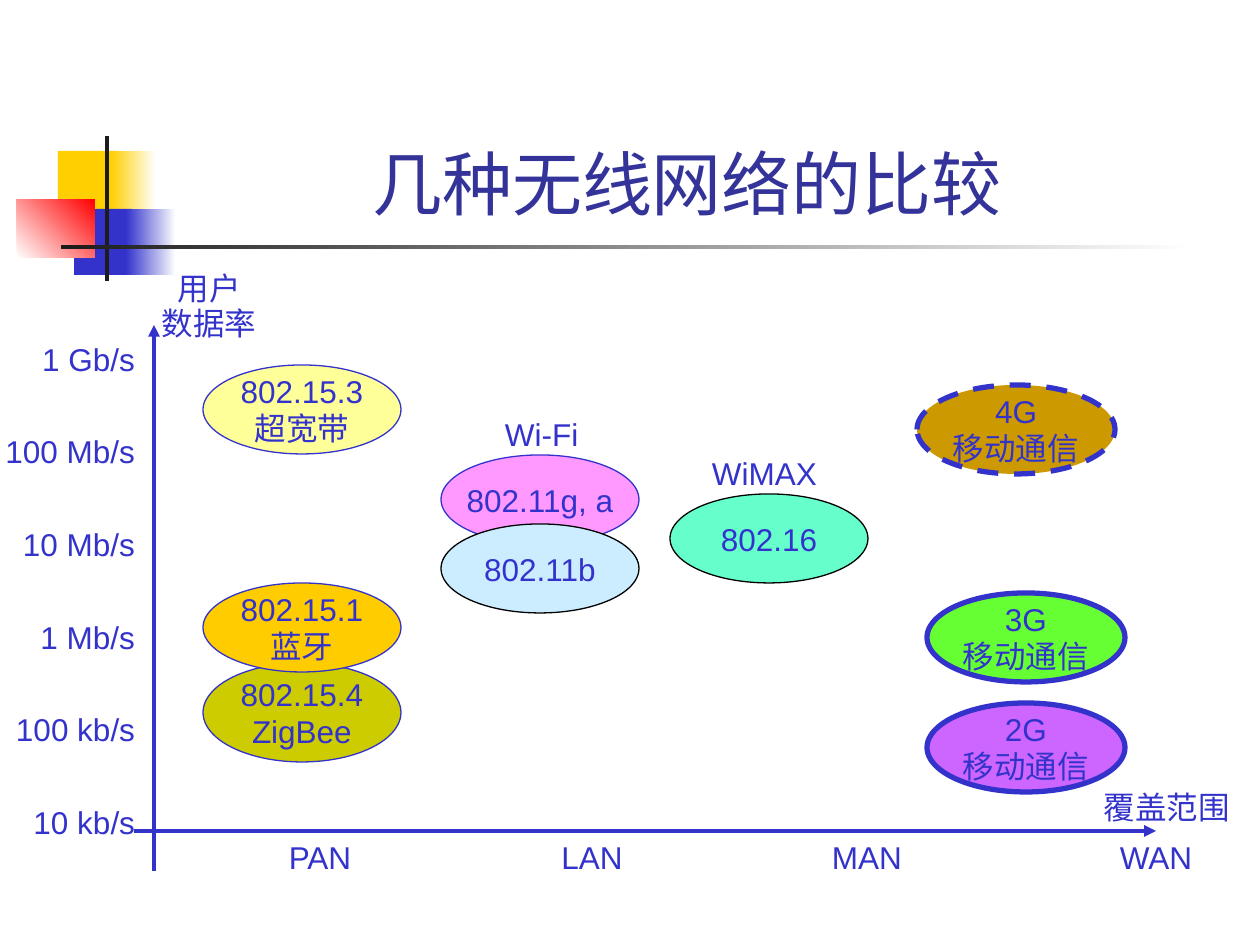
from dataclasses import dataclass

from lxml import etree
from pptx import Presentation
from pptx.dml.color import RGBColor
from pptx.enum.dml import MSO_LINE
from pptx.enum.shapes import MSO_CONNECTOR, MSO_SHAPE
from pptx.enum.text import MSO_ANCHOR, MSO_AUTO_SIZE, PP_ALIGN
from pptx.oxml.ns import qn
from pptx.util import Emu, Pt

RECT, OVAL = MSO_SHAPE.RECTANGLE, MSO_SHAPE.OVAL
STRAIGHT = MSO_CONNECTOR.STRAIGHT
DASH = MSO_LINE.DASH
LEFT, CENTER, RIGHT = PP_ALIGN.LEFT, PP_ALIGN.CENTER, PP_ALIGN.RIGHT
TOP, MIDDLE, BOTTOM = MSO_ANCHOR.TOP, MSO_ANCHOR.MIDDLE, MSO_ANCHOR.BOTTOM
PX = 914400 / 126


@dataclass(frozen=True)
class Theme:
    font: str = "Arial"
    title_size: int = 40
    body_size: int = 18
    title: str = "333399"
    ink: str = "3333CC"
    white: str = "FFFFFF"
    black: str = "000000"
    yellow: str = "FFCF01"
    red: str = "FF0000"
    rule: str = "1C1C1C"


def px(*lengths):
    return [Emu(round(length * PX)) for length in lengths]


def rgb(value):
    return RGBColor.from_string(value)


class Painter:
    def __init__(self, slide, theme):
        self.slide = slide
        self.theme = theme

    def add_lines(self, frame, lines, size, color, align, spacings=(1,), gap=0):
        for i, line in enumerate(lines):
            paragraph = frame.paragraphs[0] if i == 0 else frame.add_paragraph()
            paragraph.alignment = align
            paragraph.line_spacing = spacings[min(i, len(spacings) - 1)]
            paragraph.space_after = Pt(gap)
            run = paragraph.add_run()
            run.text = line
            run.font.name = self.theme.font
            run.font.size = Pt(size)
            run.font.color.rgb = rgb(color)

    def title(self, text, box):
        heading = self.slide.shapes.title
        heading.left, heading.top, heading.width, heading.height = px(*box)
        frame = heading.text_frame
        frame.auto_size = MSO_AUTO_SIZE.NONE
        frame.vertical_anchor = BOTTOM
        self.add_lines(frame, [text], self.theme.title_size, self.theme.title, CENTER)

    def block(self, box, start, end=None, angle=0):
        block = self.slide.shapes.add_shape(RECT, *px(*box))
        block.shadow.inherit = False
        block.line.fill.background()
        if end is None:
            block.fill.solid()
            block.fill.fore_color.rgb = rgb(start)
            return
        block.fill.gradient()
        block.fill.gradient_angle = angle
        for stop, color, position in zip(block.fill.gradient_stops, (start, end), (0, 1)):
            stop.color.rgb = rgb(color)
            stop.position = position

    def label(self, box, lines, align=CENTER, spacings=(1.2,), gap=0):
        frame = self.slide.shapes.add_textbox(*px(*box)).text_frame
        frame.word_wrap = True
        frame.vertical_anchor = TOP
        frame.margin_left = frame.margin_right = 0
        self.add_lines(frame, lines, self.theme.body_size, self.theme.ink, align, spacings, gap)

    def axis(self, start, end):
        axis = self.slide.shapes.add_connector(STRAIGHT, *px(*start, *end))
        axis.line.color.rgb = rgb(self.theme.ink)
        axis.line.width = Pt(2.25)
        properties = axis.element.spPr
        etree.SubElement(properties.find(qn("a:ln")), qn("a:tailEnd"), type="triangle")
        etree.SubElement(properties, qn("a:effectLst"))

    def network(self, box, lines, fill, outline, width=0.75, dash=None):
        oval = self.slide.shapes.add_shape(OVAL, *px(*box))
        oval.shadow.inherit = False
        oval.fill.solid()
        oval.fill.fore_color.rgb = rgb(fill)
        oval.line.color.rgb = rgb(outline)
        oval.line.width = Pt(width)
        if dash is not None:
            oval.line.dash_style = dash
        frame = oval.text_frame
        frame.word_wrap = False
        frame.vertical_anchor = MIDDLE
        self.add_lines(frame, lines, self.theme.body_size, self.theme.ink, CENTER)


def main():
    deck = Presentation()
    deck.slide_width, deck.slide_height = px(1260, 945)
    theme = Theme()
    painter = Painter(deck.slides.add_slide(deck.slide_layouts[5]), theme)

    painter.block((58, 151, 60, 66), theme.yellow)
    painter.block((111, 151, 45, 66), theme.yellow, theme.white)
    painter.block((74, 209, 58, 66), theme.ink)
    painter.block((126, 209, 50, 66), theme.ink, theme.white)
    painter.block((17, 199, 78, 59), theme.white, theme.red, 45)
    painter.block((105, 136, 4, 145), theme.rule)
    painter.block((61, 245, 1134, 4), theme.rule, theme.white)
    painter.title("几种无线网络的比较", (150, 29, 1074, 202))

    rates = ["1 Gb/s", "100 Mb/s", "10 Mb/s", "1 Mb/s", "100 kb/s", "10 kb/s"]
    painter.label((0, 326, 135, 524), rates, RIGHT, gap=27)
    painter.label((1092, 774, 138, 58), ["覆盖范围"], RIGHT)
    painter.axis((134, 831), (1156, 831))
    painter.axis((154, 871), (154, 325))
    painter.label((149, 255, 120, 94), ["用户", "数据率"], spacings=(1.2, 0.95))
    for center, scope in ((320, "PAN"), (592, "LAN"), (867, "MAN"), (1156, "WAN")):
        painter.label((center - 50, 824, 100, 58), [scope])

    pan, lan, man, wan = 203, 441, 670, 927
    mobile = "移动通信"
    networks = [
        (pan, 663, 99, ["802.15.4", "ZigBee"], "CCCC00", theme.ink),
        (pan, 583, 89, ["802.15.1", "蓝牙"], "FFCC00", theme.ink),
        (pan, 365, 89, ["802.15.3", "超宽带"], "FFFF99", theme.ink),
        (lan, 455, 89, ["802.11g, a"], "FF99FF", theme.ink),
        (lan, 524, 89, ["802.11b"], "CCECFF", theme.black),
        (man, 494, 89, ["802.16"], "66FFCC", theme.black),
        (wan, 703, 89, ["2G", mobile], "CC66FF", theme.ink, 3),
        (wan, 593, 89, ["3G", mobile], "66FF33", theme.ink, 3),
        (wan - 10, 385, 89, ["4G", mobile], "CC9900", theme.ink, 3, DASH),
    ]
    for left, top, height, *style in networks:
        painter.network((left, top, 198, height), *style)
    painter.label((505, 401, 98, 58), ["Wi-Fi"], LEFT)
    painter.label((712, 440, 130, 58), ["WiMAX"], LEFT)

    deck.save("out.pptx")


if __name__ == "__main__":
    main()
